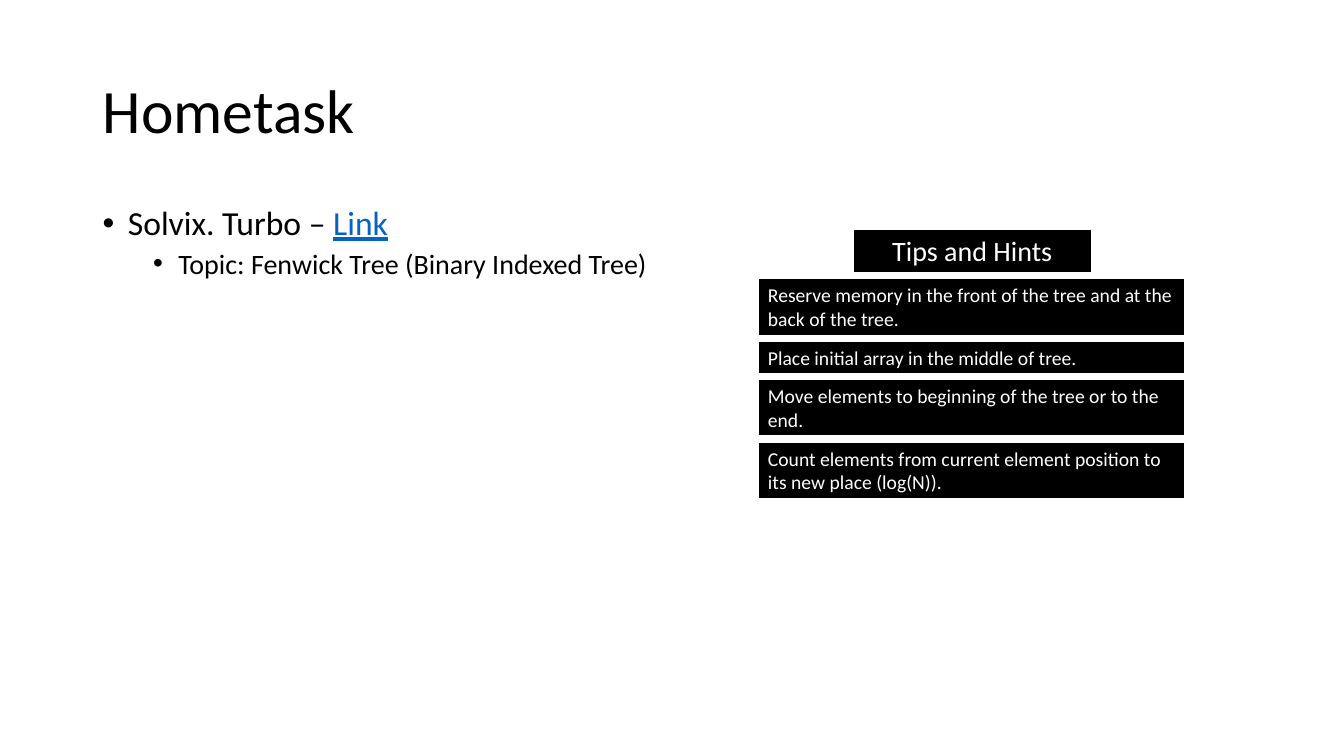
"""Build the hometask slide with a task list and a stack of tips."""
import pptx
import pptx.dml.color
import pptx.enum.shapes
import pptx.enum.text
import pptx.oxml.ns
import pptx.util
from lxml import etree

TITLE = "Hometask"
TASKS = [
    (0, [("Solvix. Turbo – ", "text"), ("Link", "link")]),
    (1, [("Topic: Fenwick Tree (Binary Indexed Tree)", "text")]),
]
TIPS = [
    ("Tips and Hints", "heading"),
    ("Reserve memory in the front of the tree and at the back of the tree.", "double"),
    ("Place initial array in the middle of tree.", "single"),
    ("Move elements to beginning of the tree or to the end.", "double"),
    ("Count elements from current element position to its new place (log(N)).", "double"),
]

THEME = {
    "font": "Calibri",
    "text": "000000",
    "link": "0563C1",
    "panel": "000000",
    "panel_text": "FFFFFF",
    "title_size": 44,
    "task_sizes": [24, 20],
    "heading_size": 20,
    "tip_size": 14,
}
SLIDE_SIZE = (13.33, 7.5)
TITLE_AREA = (6.9, 5.33, 86.25, 19.33)
TASK_AREA = (6.9, 26.67, 51.3, 63.47)
TIPS_TOP, TIPS_GAP = 30.27, 0.67
TIP_COLUMNS = {"heading": (63.45, 17.78), "single": (56.4, 31.8), "double": (56.4, 31.8)}
TIP_HEIGHTS = {"heading": 5.87, "single": 4.4, "double": 7.6}
TASK_SPACING = [0, 5]
TASK_INDENTS = [0.25, 0.75]
HANGING = 0.25

ALIGN = pptx.enum.text.PP_ALIGN
ANCHOR = pptx.enum.text.MSO_ANCHOR
AUTO_SIZE = pptx.enum.text.MSO_AUTO_SIZE


def color(name):
    return pptx.dml.color.RGBColor.from_string(THEME[name])


def place(area):
    """Turn percentages of the slide into lengths."""
    return [pptx.util.Inches(share / 100 * SLIDE_SIZE[index % 2])
            for index, share in enumerate(area)]


def apply(target, values):
    for name, value in values.items():
        setattr(target, name, value)


def add_run(paragraph, text, size, color_name, underline=False):
    run = paragraph.add_run()
    run.text = text
    apply(run.font, {"name": THEME["font"], "size": pptx.util.Pt(size), "underline": underline})
    run.font.color.rgb = color(color_name)


def add_bullet(paragraph, level):
    properties = paragraph._p.get_or_add_pPr()
    properties.set("marL", str(pptx.util.Inches(TASK_INDENTS[level])))
    properties.set("indent", str(-pptx.util.Inches(HANGING)))
    for tag, name, value in [("a:buFont", "typeface", "Arial"), ("a:buChar", "char", "•")]:
        etree.SubElement(properties, pptx.oxml.ns.qn(tag)).set(name, value)


def add_title(slide):
    title = slide.shapes.title
    apply(title, dict(zip(("left", "top", "width", "height"), place(TITLE_AREA))))
    apply(title.text_frame, {"vertical_anchor": ANCHOR.MIDDLE, "word_wrap": True,
                             "auto_size": AUTO_SIZE.NONE})
    paragraph = title.text_frame.paragraphs[0]
    apply(paragraph, {"alignment": ALIGN.LEFT, "line_spacing": 0.9})
    add_run(paragraph, TITLE, THEME["title_size"], "text")


def add_tasks(slide):
    frame = slide.shapes.add_textbox(*place(TASK_AREA)).text_frame
    frame.word_wrap = True
    for index, (level, pieces) in enumerate(TASKS):
        paragraph = frame.add_paragraph() if index else frame.paragraphs[0]
        apply(paragraph, {"level": level, "line_spacing": 0.9,
                          "space_before": pptx.util.Pt(TASK_SPACING[level])})
        add_bullet(paragraph, level)
        for text, kind in pieces:
            add_run(paragraph, text, THEME["task_sizes"][level], kind, kind == "link")


def add_tips(slide):
    top = TIPS_TOP
    for text, kind in TIPS:
        left, width = TIP_COLUMNS[kind]
        height = TIP_HEIGHTS[kind]
        box = slide.shapes.add_shape(pptx.enum.shapes.MSO_SHAPE.RECTANGLE,
                                     *place((left, top, width, height)))
        box.shadow.inherit = False
        box.fill.solid()
        box.fill.fore_color.rgb = color("panel")
        box.line.color.rgb = color("panel_text")
        box.line.width = pptx.util.Pt(1.5)
        apply(box.text_frame, {"word_wrap": True, "vertical_anchor": ANCHOR.TOP,
                               "auto_size": AUTO_SIZE.SHAPE_TO_FIT_TEXT})
        paragraph = box.text_frame.paragraphs[0]
        is_heading = kind == "heading"
        paragraph.alignment = ALIGN.CENTER if is_heading else ALIGN.LEFT
        add_run(paragraph, text, THEME["heading_size" if is_heading else "tip_size"], "panel_text")
        top += height + TIPS_GAP


def main():
    presentation = pptx.Presentation()
    width, height = map(pptx.util.Inches, SLIDE_SIZE)
    apply(presentation, {"slide_width": width, "slide_height": height})
    slide = presentation.slides.add_slide(presentation.slide_layouts.get_by_name("Title Only"))
    add_title(slide)
    add_tasks(slide)
    add_tips(slide)
    presentation.save("out.pptx")


if __name__ == "__main__":
    main()
